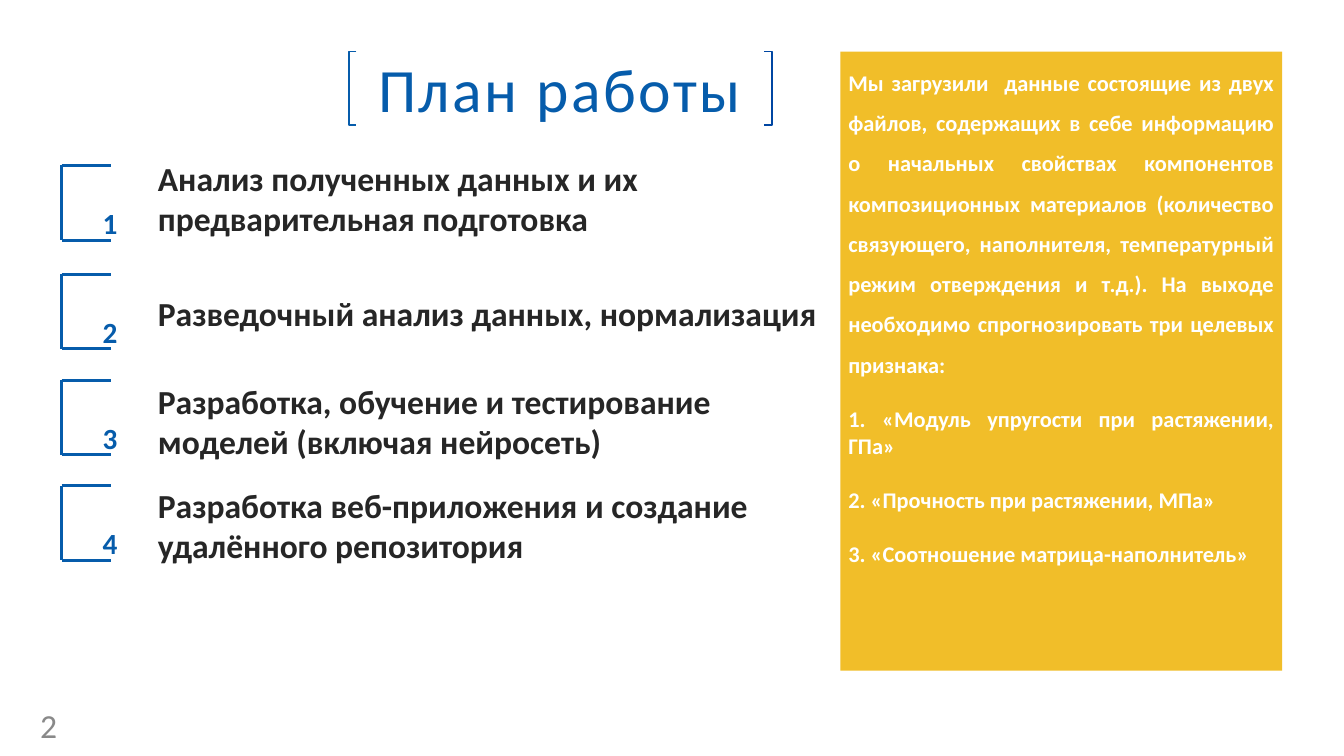
from lxml import etree
from pptx import Presentation
from pptx.dml.color import RGBColor
from pptx.enum.shapes import MSO_CONNECTOR, MSO_SHAPE
from pptx.enum.text import MSO_ANCHOR, MSO_AUTO_SIZE, PP_ALIGN
from pptx.oxml.ns import qn
from pptx.util import Cm, Pt

LINE, RECT = MSO_CONNECTOR.STRAIGHT, MSO_SHAPE.RECTANGLE
TOP, MIDDLE = MSO_ANCHOR.TOP, MSO_ANCHOR.MIDDLE
LEFT, CENTER, JUSTIFY = PP_ALIGN.LEFT, PP_ALIGN.CENTER, PP_ALIGN.JUSTIFY

COLORS = {
    "blue": "065CAB",
    "navy": "0046A2",
    "dark": "262626",
    "gray": "898989",
    "white": "FFFFFF",
    "yellow": "F1BE29",
}


def rgb(name):
    return RGBColor.from_string(COLORS[name])


def write(sp, paragraphs, size, color, bold=False, align=LEFT, anchor=TOP,
          margins=(0.25, 0.13), first_spacing=None, gap=0, **run_attrs):
    tf = sp.text_frame
    tf.word_wrap = True
    tf.auto_size = MSO_AUTO_SIZE.NONE
    tf.vertical_anchor = anchor
    tf.margin_left = tf.margin_right = Cm(margins[0])
    tf.margin_top = tf.margin_bottom = Cm(margins[1])
    for i, text in enumerate(paragraphs):
        p = tf.add_paragraph() if i else tf.paragraphs[0]
        p.alignment = align
        p.space_before = Pt(gap if i else 0)
        if first_spacing and i == 0:
            p.line_spacing = first_spacing
        r = p.add_run()
        r.text = text
        r.font.name, r.font.size, r.font.bold = "Calibri", Pt(size), bold
        r.font.color.rgb = rgb(color)
        for key, value in run_attrs.items():
            r.font._element.set(key, str(value))


prs = Presentation()
prs.slide_width, prs.slide_height = Cm(33.87), Cm(19.05)
s = prs.slides.add_slide(prs.slide_layouts[5])

# Title between brackets
title = s.shapes.title
title.left, title.top, title.width, title.height = Cm(8.79), Cm(1.3), Cm(10.64), Cm(1.85)
write(title, ["План работы"], 44, "blue", align=CENTER, anchor=MIDDLE,
      margins=(0, 0), spc=180)

for x, arm, color in ((8.79, 0.19, "blue"), (19.46, -0.2, "navy")):
    fb = s.shapes.build_freeform(Cm(x + arm), Cm(1.3))
    fb.add_line_segments([(Cm(x), Cm(1.3)), (Cm(x), Cm(3.15)),
                          (Cm(x + arm), Cm(3.15))], close=False)
    sp = fb.convert_to_shape()
    sp.shadow.inherit = False
    sp.fill.background()
    sp.line.color.rgb = rgb(color)
    sp.line.width = Pt(1.3)

# Side panel
panel = s.shapes.add_shape(RECT, Cm(21.18), Cm(1.3), Cm(11.13), Cm(15.6))
panel.shadow.inherit = False
panel.fill.solid()
panel.fill.fore_color.rgb = rgb("yellow")
panel.line.fill.background()
write(panel, [
    "Мы загрузили  данные состоящие из двух файлов, содержащих в себе информацию "
    "о начальных свойствах компонентов композиционных материалов (количество "
    "связующего, наполнителя, температурный режим отверждения и т.д.). На выходе "
    "необходимо спрогнозировать три целевых признака:",
    "1. «Модуль упругости при растяжении, ГПа»",
    "2. «Прочность при растяжении, МПа»",
    "3. «Соотношение матрица-наполнитель»",
], 16, "white", bold=True, align=JUSTIFY, margins=(0.2, 0.1), first_spacing=1.5, gap=19.5)

# Numbered steps: bracket top, text top, text height, text
steps = [
    (4.17, 3.84, 2.31, "Анализ полученных данных и их предварительная подготовка"),
    (6.91, 7.24, 1.27, "Разведочный анализ данных, нормализация"),
    (9.58, 9.47, 2.31, "Разработка, обучение и тестирование моделей (включая нейросеть)"),
    (12.24, 12.09, 3.33, "Разработка веб-приложения и создание удалённого репозитория"),
]
x1, x2 = 1.55, 2.8
for number, (top, text_top, height, text) in enumerate(steps, 1):
    bottom = top + 1.88
    for ends in ((x1, top, x1, bottom), (x1, top, x2, top), (x1, bottom, x2, bottom)):
        line = s.shapes.add_connector(LINE, *(Cm(v) for v in ends))
        line.line.color.rgb = rgb("blue")
        line.line.width = Pt(2.25)
        etree.SubElement(line._element.spPr, qn("a:effectLst"))
    box = s.shapes.add_textbox(Cm(3.73), Cm(text_top), Cm(17.27), Cm(height))
    write(box, [text], 24, "dark", bold=True)
    box = s.shapes.add_textbox(Cm(2.34), Cm(top + 0.72), Cm(3), Cm(1.27))
    write(box, [str(number)], 36, "blue", bold=True, baseline=30000)

# Slide number
box = s.shapes.add_textbox(Cm(0.76), Cm(17.88), Cm(1.57), Cm(0.76))
write(box, ["2"], 24, "gray", anchor=MIDDLE)

prs.save("out.pptx")
